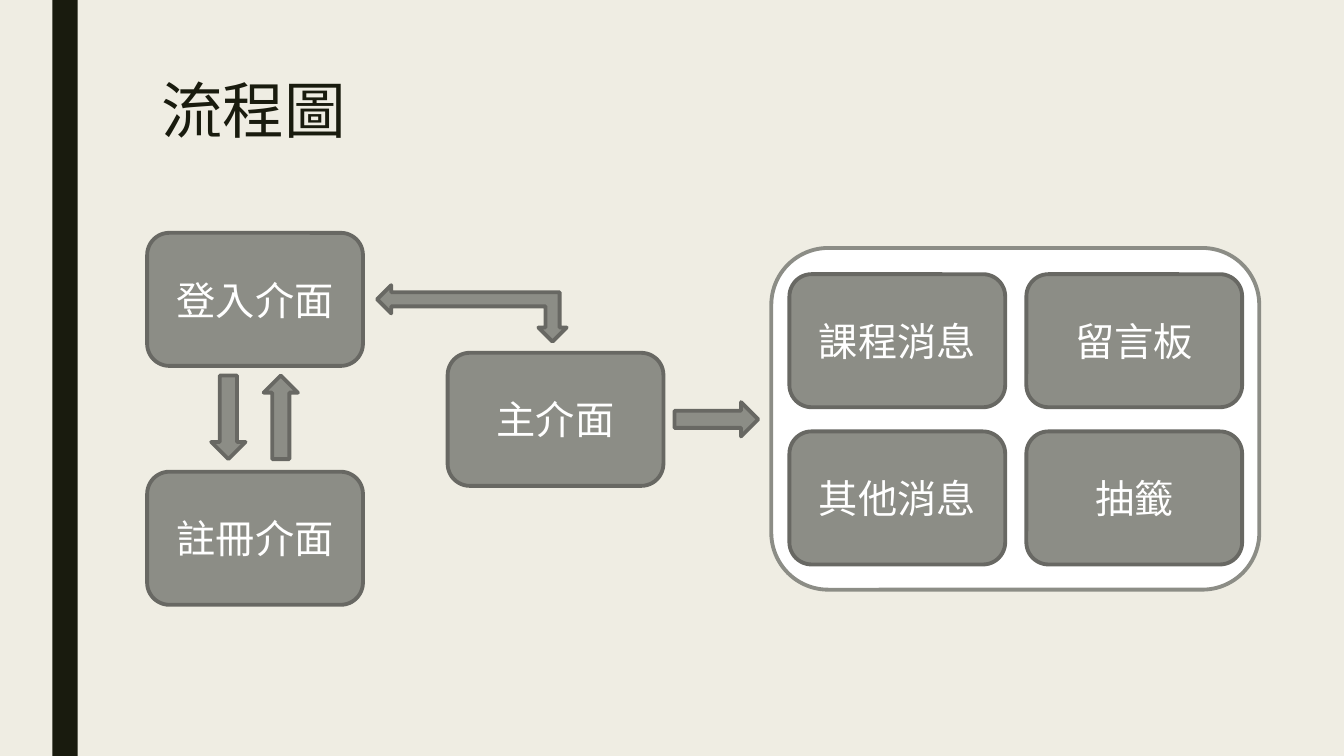
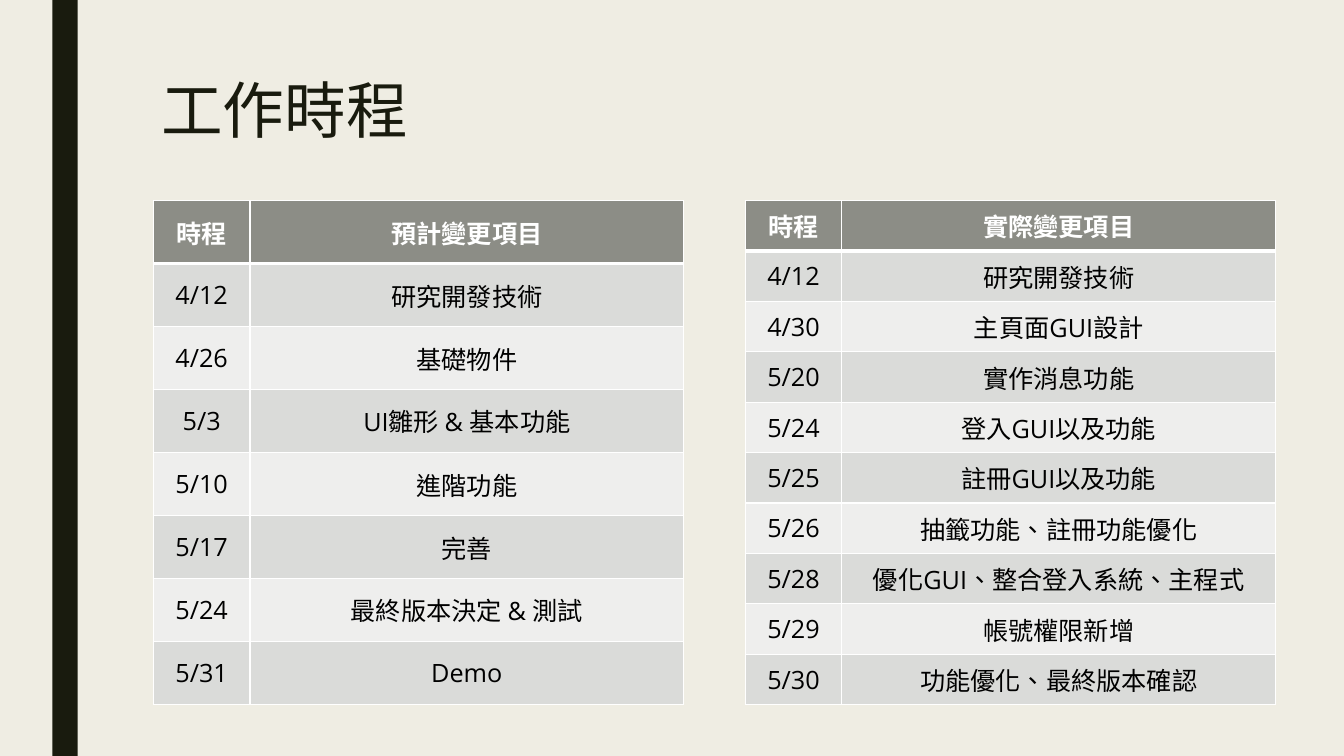
import dataclasses

import lxml.etree
import pptx
import pptx.dml.color
import pptx.enum.lang
import pptx.enum.shapes
import pptx.enum.text
import pptx.oxml.ns
import pptx.presentation
import pptx.shapes.autoshape
import pptx.slide
import pptx.table
import pptx.text.text
import pptx.util

Inches = pptx.util.Inches
Pt = pptx.util.Pt
Preset = pptx.enum.shapes.MSO_SHAPE
Align = pptx.enum.text.PP_ALIGN
Anchor = pptx.enum.text.MSO_ANCHOR
qn = pptx.oxml.ns.qn

FONT = "Open Sans"
CREAM, INK, WHITE, BLACK = "EFEDE3", "191B0E", "FFFFFF", "000000"
GRAY, DARK_GRAY = "8C8D86", "686863"
ROW_FILLS = ("DADBD9", "EEEEED")

STEP_W, STEP_H = 2.14, 1.32
ARROW_W, ARROW_H = 0.83, 0.34
OUTLINE = 2.75
COLUMN_WIDTHS = (0.96, 4.3)
SCHEDULE_TOP, SCHEDULE_H = 1.99, 5


@dataclasses.dataclass(frozen=True)
class Step:
    label: str
    left: float
    top: float


@dataclasses.dataclass(frozen=True)
class Arrow:
    left: float
    top: float
    width: float = ARROW_W
    height: float = ARROW_H
    preset: Preset = Preset.RIGHT_ARROW
    rotation: int = 0
    flipped: bool = False


@dataclasses.dataclass(frozen=True)
class Schedule:
    left: float
    heading: str
    entries: tuple[tuple[str, str], ...]


def rgb(value: str) -> pptx.dml.color.RGBColor:
    return pptx.dml.color.RGBColor.from_string(value)


def write(frame: pptx.text.text.TextFrame, text: str, size: int, color: str,
          align: Align = Align.CENTER, bold: bool = False) -> None:
    frame.text = text
    paragraph = frame.paragraphs[0]
    paragraph.alignment = align
    font = paragraph.runs[0].font
    font.name, font.size, font.bold = FONT, Pt(size), bold
    font.language_id = pptx.enum.lang.MSO_LANGUAGE_ID.TRADITIONAL_CHINESE
    font.color.rgb = rgb(color)


def add_block(slide: pptx.slide.Slide, preset: Preset, left: float, top: float,
              width: float, height: float, fill: str = GRAY,
              line: str | None = DARK_GRAY) -> pptx.shapes.autoshape.Shape:
    block = slide.shapes.add_shape(preset, Inches(left), Inches(top), Inches(width), Inches(height))
    block.shadow.inherit = False
    block.fill.solid()
    block.fill.fore_color.rgb = rgb(fill)
    if line is None:
        block.line.fill.background()
    else:
        block.line.color.rgb = rgb(line)
        block.line.width = Pt(OUTLINE)
    return block


def add_titled_slide(deck: pptx.presentation.Presentation, heading: str) -> pptx.slide.Slide:
    slide = deck.slides.add_slide(deck.slide_layouts.get_by_name("Title Only"))
    add_block(slide, Preset.RECTANGLE, 0.52, 0, 0.25, 7.5, INK, None)
    title = slide.shapes.title
    title.left, title.top = Inches(1.5), Inches(0.75)
    title.width, title.height = Inches(10.5), Inches(1.62)
    title.text_frame.vertical_anchor = Anchor.TOP
    title.text_frame.auto_size = pptx.enum.text.MSO_AUTO_SIZE.NONE
    write(title.text_frame, heading, 44, INK, Align.LEFT)
    title.text_frame.paragraphs[0].line_spacing = 0.89
    return slide


def add_step(slide: pptx.slide.Slide, step: Step) -> None:
    box = add_block(slide, Preset.ROUNDED_RECTANGLE, step.left, step.top, STEP_W, STEP_H)
    box.text_frame.vertical_anchor = Anchor.MIDDLE
    write(box.text_frame, step.label, 28, WHITE)


def add_arrow(slide: pptx.slide.Slide, arrow: Arrow) -> None:
    drawn = add_block(slide, arrow.preset, arrow.left, arrow.top, arrow.width, arrow.height)
    drawn.rotation = arrow.rotation
    if arrow.flipped:
        drawn.element.spPr.find(qn("a:xfrm")).set("flipV", "1")


def set_borders(cell: pptx.table._Cell, top: int, bottom: int) -> None:
    properties = cell._tc.get_or_add_tcPr()
    for side, width in (("L", 1), ("R", 1), ("T", top), ("B", bottom)):
        border = lxml.etree.SubElement(properties, qn(f"a:ln{side}"), w=str(Pt(width)))
        fill = lxml.etree.SubElement(border, qn("a:solidFill"))
        lxml.etree.SubElement(fill, qn("a:srgbClr"), val=WHITE)


def add_schedule(slide: pptx.slide.Slide, schedule: Schedule) -> None:
    rows = (("時程", schedule.heading), *schedule.entries)
    table = slide.shapes.add_table(
        len(rows), len(COLUMN_WIDTHS), Inches(schedule.left), Inches(SCHEDULE_TOP),
        Inches(sum(COLUMN_WIDTHS)), Inches(SCHEDULE_H)).table
    for column, width in zip(table.columns, COLUMN_WIDTHS):
        column.width = Inches(width)
    for index, texts in enumerate(rows):
        table.rows[index].height = Inches(SCHEDULE_H / len(rows))
        header = index == 0
        for column, text in enumerate(texts):
            cell = table.cell(index, column)
            set_borders(cell, 3 if index == 1 else 1, 3 if header else 1)
            cell.fill.solid()
            cell.fill.fore_color.rgb = rgb(GRAY if header else ROW_FILLS[(index - 1) % 2])
            cell.vertical_anchor = Anchor.MIDDLE
            write(cell.text_frame, text, 18, WHITE if header else BLACK, bold=header)


FEATURES = (("課程消息", "留言板"), ("其他消息", "抽籤"))
STEPS = (
    Step("登入介面", 1.46, 2.31),
    Step("註冊介面", 1.46, 4.68),
    Step("主介面", 4.44, 3.5),
    *(Step(label, 7.83 + 2.35 * column, 2.72 + 1.56 * row)
      for row, labels in enumerate(FEATURES) for column, label in enumerate(labels)),
)
ARROWS = (
    Arrow(2.37, 3.97, rotation=270),
    Arrow(1.85, 3.97, rotation=90),
    Arrow(3.74, 2.83, 1.88, 0.56, Preset.LEFT_UP_ARROW, flipped=True),
    Arrow(6.69, 3.99),
)
SCHEDULES = (
    Schedule(1.52, "預計變更項目", (
        ("4/12", "研究開發技術"),
        ("4/26", "基礎物件"),
        ("5/3", "UI雛形 & 基本功能"),
        ("5/10", "進階功能"),
        ("5/17", "完善"),
        ("5/24", "最終版本決定 & 測試"),
        ("5/31", "Demo"),
    )),
    Schedule(7.39, "實際變更項目", (
        ("4/12", "研究開發技術"),
        ("4/30", "主頁面GUI設計"),
        ("5/20", "實作消息功能"),
        ("5/24", "登入GUI以及功能"),
        ("5/25", "註冊GUI以及功能"),
        ("5/26", "抽籤功能、註冊功能優化"),
        ("5/28", "優化GUI、整合登入系統、主程式"),
        ("5/29", "帳號權限新增"),
        ("5/30", "功能優化、最終版本確認"),
    )),
)


def build_flow(deck: pptx.presentation.Presentation) -> None:
    slide = add_titled_slide(deck, "流程圖")
    add_block(slide, Preset.ROUNDED_RECTANGLE, 7.65, 2.46, 4.84, 3.39, WHITE, GRAY)
    for arrow in ARROWS:
        add_arrow(slide, arrow)
    for step in STEPS:
        add_step(slide, step)


def build_timeline(deck: pptx.presentation.Presentation) -> None:
    slide = add_titled_slide(deck, "工作時程")
    for schedule in SCHEDULES:
        add_schedule(slide, schedule)


def main() -> None:
    deck = pptx.Presentation()
    deck.slide_width, deck.slide_height = Inches(13.33), Inches(7.5)
    backdrop = deck.slide_master.background.fill
    backdrop.solid()
    backdrop.fore_color.rgb = rgb(CREAM)
    build_flow(deck)
    build_timeline(deck)
    deck.save("out.pptx")


main()
